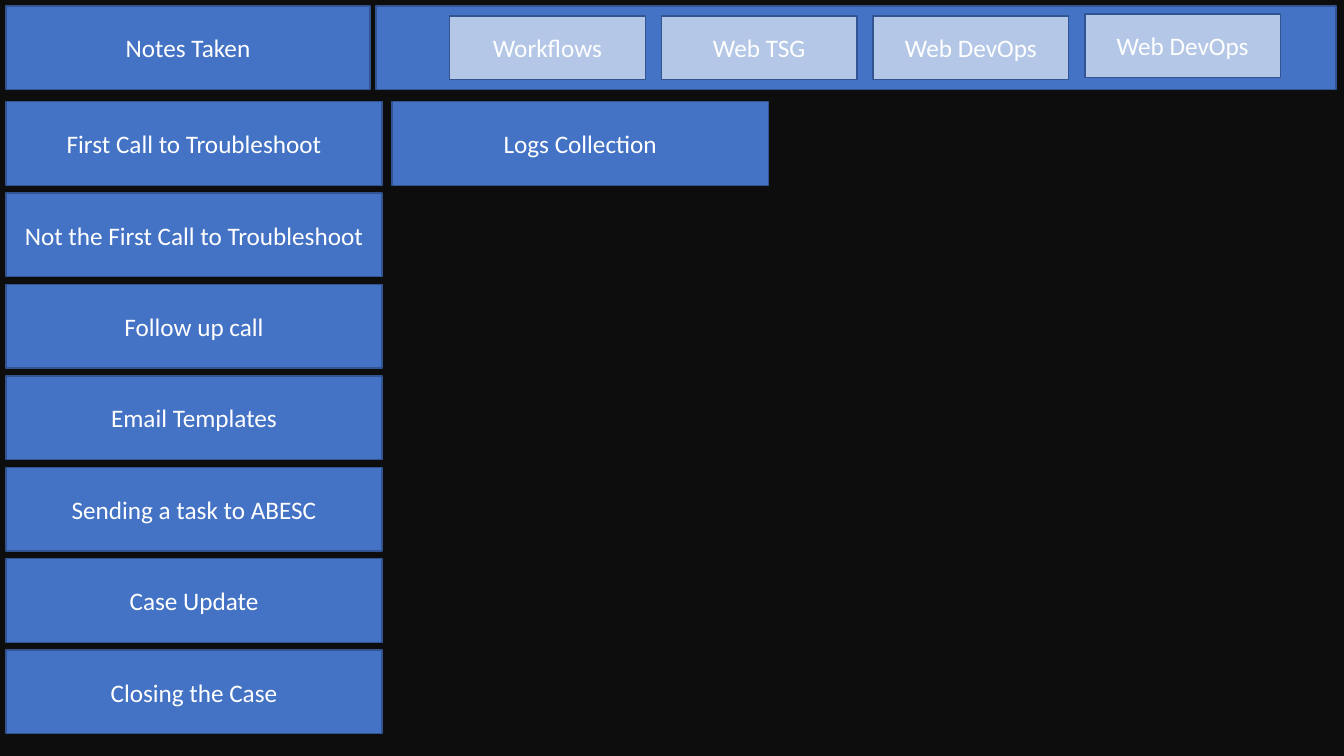
from dataclasses import dataclass

from pptx import Presentation
from pptx.dml.color import RGBColor
from pptx.enum.shapes import MSO_SHAPE
from pptx.enum.text import MSO_ANCHOR, PP_ALIGN
from pptx.slide import Slide
from pptx.util import Inches, Pt

BLACK = RGBColor(0x0D, 0x0D, 0x0D)
BLUE = RGBColor(0x44, 0x72, 0xC4)
PALE_BLUE = RGBColor(0xB4, 0xC7, 0xE7)
OUTLINE = RGBColor(0x32, 0x54, 0x91)
WHITE = RGBColor(0xFF, 0xFF, 0xFF)

MARGIN = 0.06
BUTTON_WIDTH, BUTTON_HEIGHT = 3.73, 0.83
FIRST_ROW, LAST_ROW = 1.01, 6.45
TAB_LEFT, TAB_PITCH = 4.46, 2.1

MENU = [
    "First Call to Troubleshoot",
    "Not the First Call to Troubleshoot",
    "Follow up call",
    "Email Templates",
    "Sending a task to ABESC",
    "Case Update",
    "Closing the Case",
]
# Each tab has its label and its top; the last one sits slightly higher
TABS = [
    ("Workflows", 0.16),
    ("Web TSG", 0.16),
    ("Web DevOps", 0.16),
    ("Web DevOps", 0.14),
]


@dataclass(frozen=True)
class Button:
    text: str
    left: float
    top: float
    width: float = BUTTON_WIDTH
    height: float = BUTTON_HEIGHT
    fill: RGBColor = BLUE


def draw_button(page: Slide, button: Button) -> None:
    box = page.shapes.add_shape(
        MSO_SHAPE.RECTANGLE,
        Inches(button.left), Inches(button.top),
        Inches(button.width), Inches(button.height),
    )
    box.shadow.inherit = False
    box.fill.solid()
    box.fill.fore_color.rgb = button.fill
    box.line.color.rgb = OUTLINE
    box.line.width = Pt(1)
    if not button.text:
        return
    frame = box.text_frame
    frame.word_wrap = True
    frame.vertical_anchor = MSO_ANCHOR.MIDDLE
    para = frame.paragraphs[0]
    para.text = button.text
    para.alignment = PP_ALIGN.CENTER
    para.font.name = "Calibri"
    para.font.size = Pt(18)
    para.font.color.rgb = WHITE


def main() -> None:
    deck = Presentation()
    deck.slide_width, deck.slide_height = Inches(13.33), Inches(7.5)
    page = deck.slides.add_slide(deck.slide_layouts[6])
    page.background.fill.solid()
    page.background.fill.fore_color.rgb = BLACK

    # Header bar
    buttons = [
        Button("Notes Taken", MARGIN, MARGIN, width=3.61),
        Button("", 3.73, MARGIN, width=9.52),
    ]

    # Menu column and the step beside its first entry
    row_pitch = (LAST_ROW - FIRST_ROW) / (len(MENU) - 1)
    buttons += [
        Button(text, MARGIN, FIRST_ROW + row * row_pitch)
        for row, text in enumerate(MENU)
    ]
    buttons.append(Button("Logs Collection", 3.89, FIRST_ROW))

    # Tabs on the header bar
    buttons += [
        Button(text, TAB_LEFT + column * TAB_PITCH, top, 1.94, 0.63, PALE_BLUE)
        for column, (text, top) in enumerate(TABS)
    ]

    for button in buttons:
        draw_button(page, button)
    deck.save("out.pptx")


if __name__ == "__main__":
    main()
